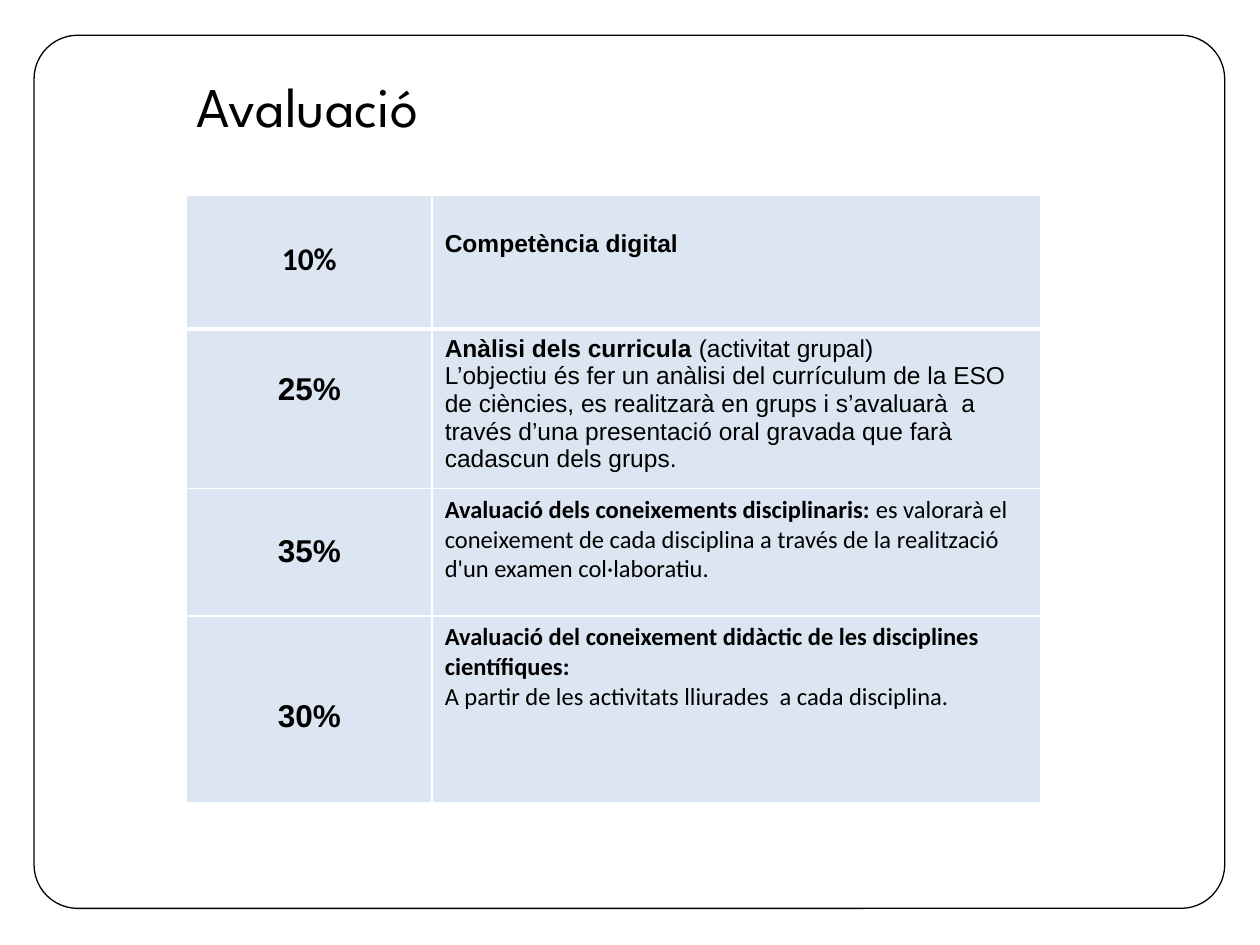
import pptx
import pptx.dml.color
import pptx.enum.shapes
import pptx.enum.text
import pptx.oxml
import pptx.oxml.ns
import pptx.util

WIDTH, HEIGHT = 10, 7.5
BLACK, WHITE, PALE_BLUE = "000000", "FFFFFF", "DCE6F2"
COLUMNS = [1.95, 4.83]
ROWS = [1.06, 1.24, 1.01, 1.48]
INSET_X, INSET_Y = 0.1, 0.05
ALIGN = pptx.enum.text.PP_ALIGN

# Each row: share (text, font, top inset), description (paragraphs, font, top inset).
# A paragraph is a list of (text, bold) spans.
CRITERIA = [
    (("10%", "Calibri", 0.36),
     ([[("Competència digital", True)]], "Arial", 0.28)),
    (("25%", "Arial", 0.34),
     ([[("Anàlisi dels curricula ", True), ("(activitat grupal)", False)],
       [("L’objectiu és fer un anàlisi del currículum de la ESO de ciències, "
         "es realitzarà en grups i s’avaluarà  a través d’una presentació oral "
         "gravada que farà cadascun dels grups.", False)]], "Arial", INSET_Y)),
    (("35%", "Arial", 0.36),
     ([[("Avaluació dels coneixements disciplinaris: ", True),
        ("es valorarà el coneixement de cada disciplina a través de la "
         "realització d'un examen col·laboratiu.", False)]], "Calibri", INSET_Y)),
    (("30%", "Arial", 0.66),
     ([[("Avaluació del coneixement didàctic de les disciplines científiques:", True)],
       [("A partir de les activitats lliurades  a cada disciplina.", False)]],
      "Calibri", INSET_Y)),
]


def inches(*values):
    return [pptx.util.Inches(value) for value in values]


def color(value):
    return pptx.dml.color.RGBColor.from_string(value)


def set_all(target, values):
    for name, value in values.items():
        setattr(target, name, value)


def write(frame, paragraphs, font, size, align=ALIGN.LEFT):
    for index, spans in enumerate(paragraphs):
        para = frame.add_paragraph() if index else frame.paragraphs[0]
        para.alignment = align
        for text, bold in spans:
            span = para.add_run()
            span.text = text
            set_all(span.font, {"name": font, "size": pptx.util.Pt(size), "bold": bold})
            span.font.color.rgb = color(BLACK)


def set_borders(cell, bottom):
    properties = cell._tc.get_or_add_tcPr()
    widths = {"lnL": 1, "lnR": 1, "lnT": 1, "lnB": bottom}
    for index, (side, points) in enumerate(widths.items()):
        properties.insert(index, pptx.oxml.parse_xml(
            f'<a:{side} {pptx.oxml.ns.nsdecls("a")} w="{pptx.util.Pt(points)}">'
            f'<a:solidFill><a:srgbClr val="{WHITE}"/></a:solidFill></a:{side}>'))


def fill_cell(cell, paragraphs, font, top, size, align, bottom):
    left, upper, lower = inches(INSET_X, top, INSET_Y)
    set_all(cell, {"margin_left": left, "margin_right": left,
                   "margin_top": upper, "margin_bottom": lower})
    cell.fill.solid()
    cell.fill.fore_color.rgb = color(PALE_BLUE)
    set_borders(cell, bottom)
    write(cell.text_frame, paragraphs, font, size, align)


def add_title(page):
    box = page.shapes.add_textbox(*inches(1.46, 0.52, 2.41, 0.63))
    set_all(box.text_frame, {"word_wrap": False,
                             "auto_size": pptx.enum.text.MSO_AUTO_SIZE.SHAPE_TO_FIT_TEXT})
    write(box.text_frame, [[("Avaluació", False)]], "League Spartan", 32)


def add_criteria(page):
    table = page.shapes.add_table(
        len(ROWS), len(COLUMNS), *inches(1.48, 1.55, sum(COLUMNS), sum(ROWS))).table
    set_all(table, {"first_row": False, "horz_banding": False})
    for column, width in zip(table.columns, inches(*COLUMNS)):
        column.width = width
    for row, height in zip(table.rows, inches(*ROWS)):
        row.height = height
    for index, (share, description) in enumerate(CRITERIA):
        bottom = 1 if index else 3
        text, font, top = share
        fill_cell(table.cell(index, 0), [[(text, True)]], font, top, 18, ALIGN.CENTER, bottom)
        fill_cell(table.cell(index, 1), *description, 14, ALIGN.LEFT, bottom)


def add_frame(page):
    frame = page.shapes.add_shape(
        pptx.enum.shapes.MSO_SHAPE.ROUNDED_RECTANGLE, *inches(0.27, 0.28, 9.45, 6.93))
    frame.adjustments[0] = 0.05
    frame.shadow.inherit = False
    frame.fill.background()
    frame.line.color.rgb = color(BLACK)
    frame.line.width = pptx.util.Pt(0.75)


def main():
    deck = pptx.Presentation()
    deck.slide_width, deck.slide_height = inches(WIDTH, HEIGHT)
    page = deck.slides.add_slide(deck.slide_layouts[6])
    add_title(page)
    add_criteria(page)
    add_frame(page)
    deck.save("out.pptx")


if __name__ == "__main__":
    main()
